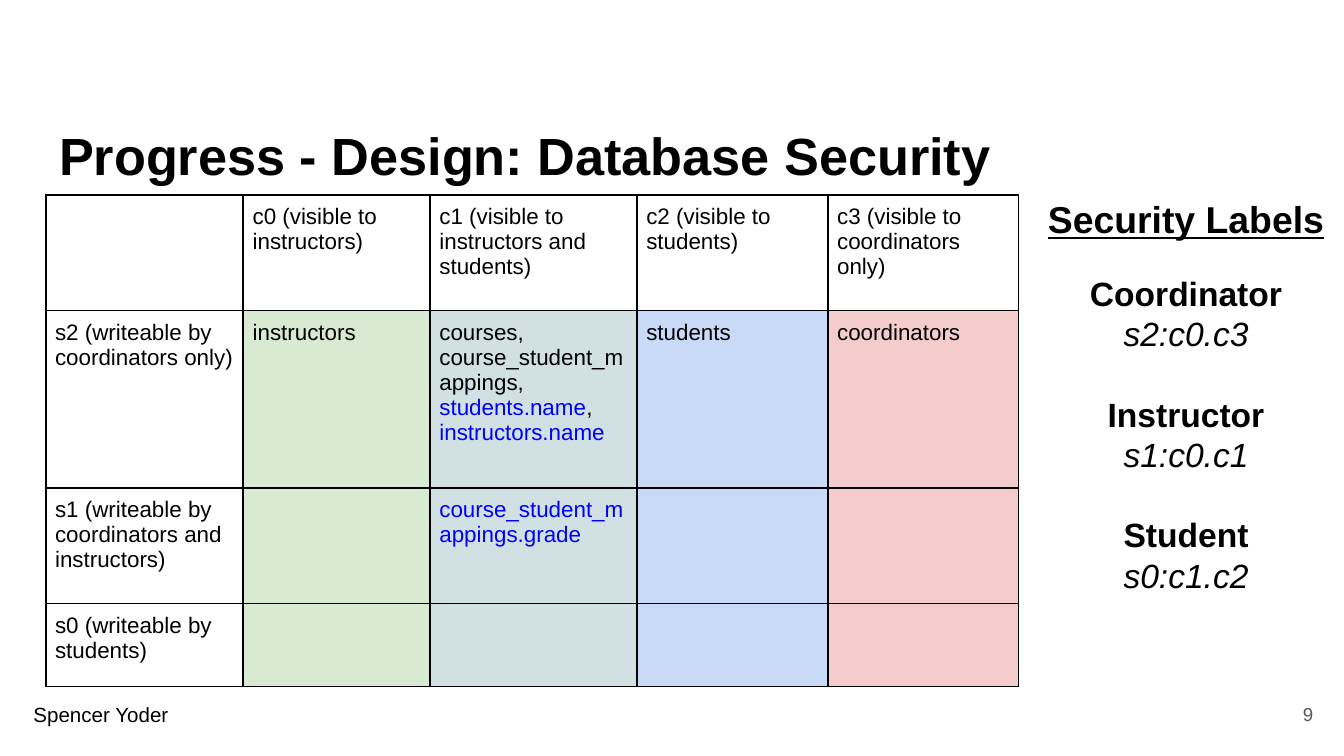
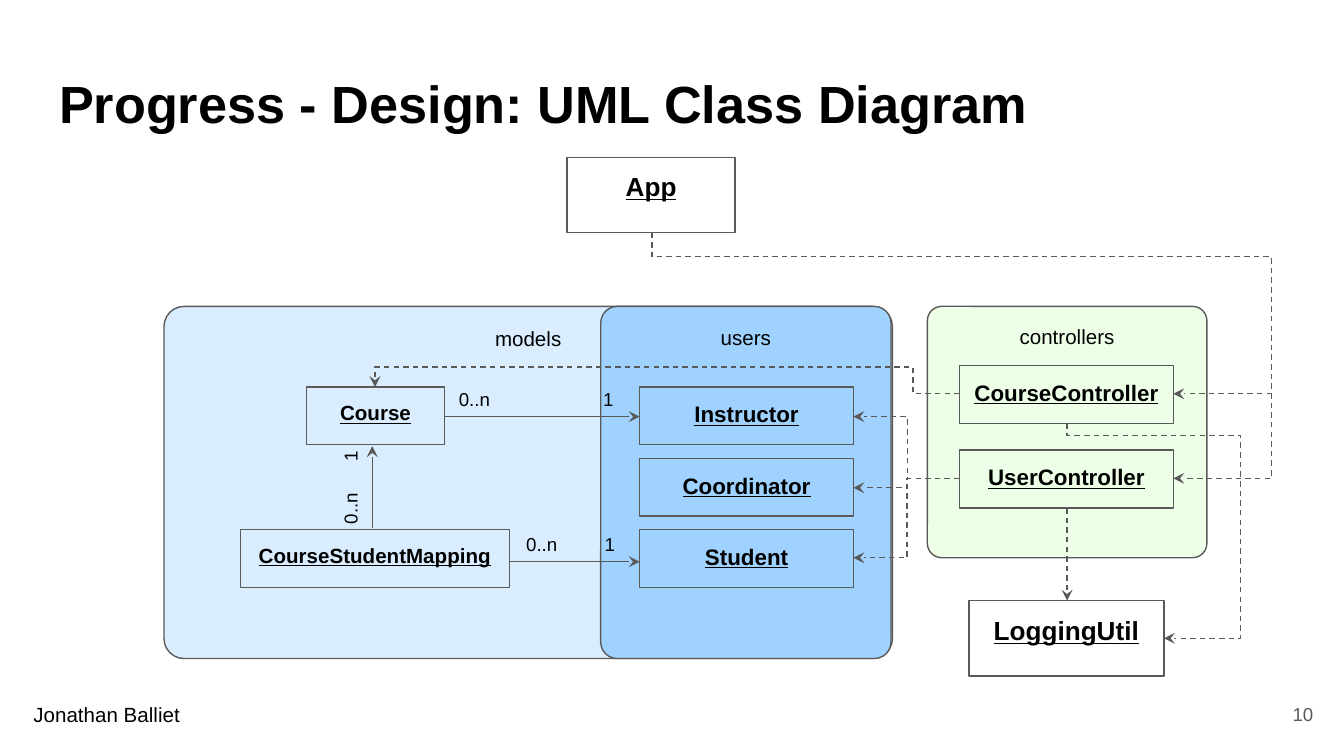
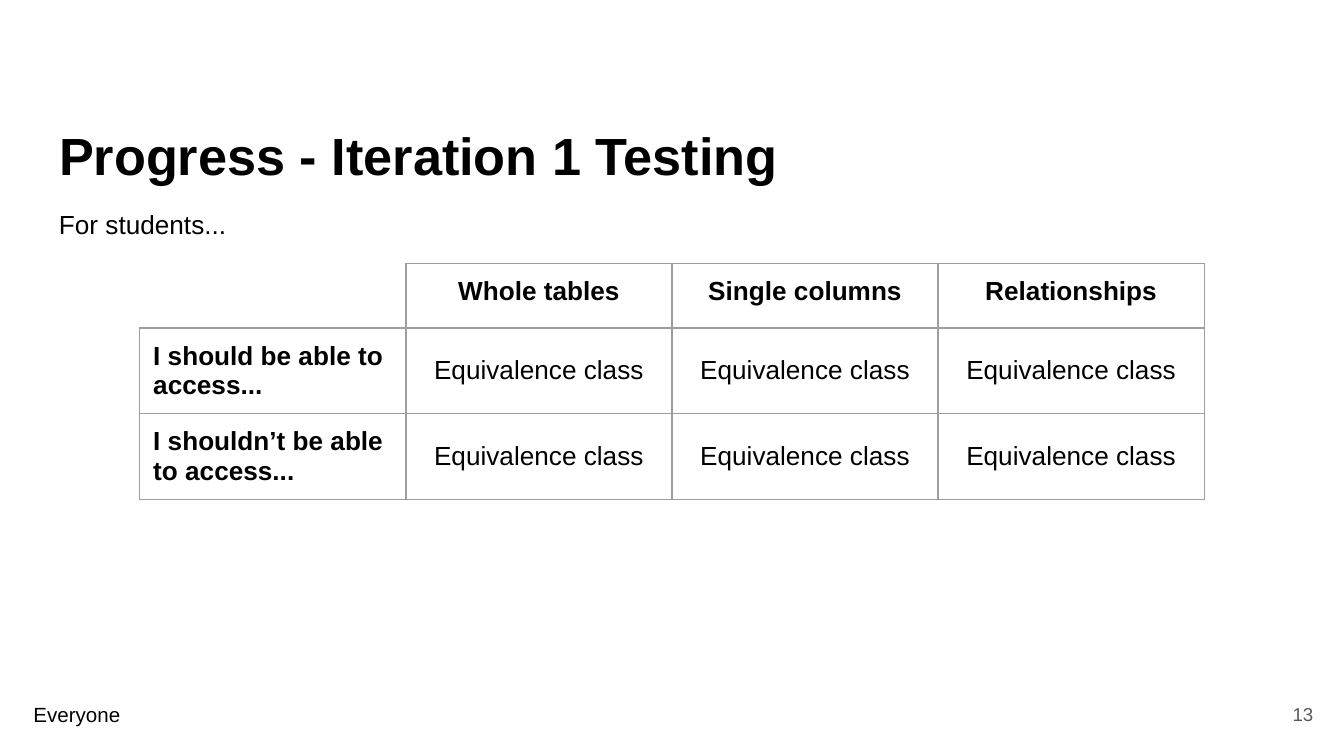
from dataclasses import dataclass

from lxml import etree
from pptx import Presentation
from pptx.dml.color import RGBColor
from pptx.enum.dml import MSO_LINE
from pptx.enum.shapes import MSO_CONNECTOR, MSO_SHAPE
from pptx.enum.text import MSO_ANCHOR, MSO_AUTO_SIZE, PP_ALIGN
from pptx.oxml.ns import qn
from pptx.util import Emu, Pt

EMU_PER_PX = 9144
LEFT, CENTER, RIGHT = PP_ALIGN.LEFT, PP_ALIGN.CENTER, PP_ALIGN.RIGHT
TOP, MIDDLE = MSO_ANCHOR.TOP, MSO_ANCHOR.MIDDLE
NO_AUTOFIT = MSO_AUTO_SIZE.NONE
STRAIGHT, ELBOW = MSO_CONNECTOR.STRAIGHT, MSO_CONNECTOR.ELBOW
RECTANGLE, ROUNDED = MSO_SHAPE.RECTANGLE, MSO_SHAPE.ROUNDED_RECTANGLE
DASH = MSO_LINE.DASH
TITLE_ONLY = 5


@dataclass(frozen=True)
class Theme:
    font: str = "Arial"
    ink: str = "000000"
    muted: str = "595959"
    link: str = "0000FF"
    grid: str = "9E9E9E"
    green: str = "D9EAD3"
    teal: str = "D0E0E3"
    blue: str = "C9DAF8"
    red: str = "F4CCCC"
    controllers: str = "EEFFE8"
    models: str = "DAEDFF"
    users: str = "9FD2FF"
    title: int = 28
    heading: int = 20
    label: int = 18
    body: int = 14
    cell: int = 12
    small: int = 11
    tiny: int = 10
    line: float = 0.75


THEME = Theme()


def px(length):
    return Emu(round(length * EMU_PER_PX))


def rgb(color):
    return RGBColor.from_string(color)


def write(para, text, size=THEME.body, color=THEME.ink, bold=False,
          italic=False, underline=False, align=LEFT, before=0):
    para.alignment = align
    para.space_before = Pt(before)
    span = para.add_run()
    span.text = text
    font = span.font
    font.name, font.size = THEME.font, Pt(size)
    font.bold, font.italic, font.underline = bold, italic, underline
    font.color.rgb = rgb(color)


def pad(holder, inset, anchor):
    holder.margin_left = holder.margin_right = px(inset)
    holder.margin_top = holder.margin_bottom = px(inset)
    holder.vertical_anchor = anchor


def set_frame(frame, inset=10, anchor=TOP):
    pad(frame, inset, anchor)
    frame.word_wrap = True
    frame.auto_size = NO_AUTOFIT


def text_box(page, area, text, inset=10, anchor=MIDDLE, **style):
    box = page.shapes.add_textbox(*map(px, area))
    set_frame(box.text_frame, inset, anchor)
    write(box.text_frame.paragraphs[0], text, **style)
    return box


def add_page(deck, heading, top, author, number, author_width=272):
    page = deck.slides.add_slide(deck.slide_layouts[TITLE_ONLY])
    title = page.shapes.title
    title.left, title.top, title.width, title.height = map(px, (34, top, 932, 63))
    set_frame(title.text_frame)
    write(title.text_frame.paragraphs[0], heading, size=THEME.title, bold=True)
    text_box(page, (927, 510, 60, 43), str(number),
             size=THEME.tiny, color=THEME.muted, align=RIGHT)
    text_box(page, (15, 507, author_width, 49), author, size=THEME.small)
    return page


def set_borders(cell, color, width, sides="LRTB"):
    properties = cell._tc.get_or_add_tcPr()
    for child in list(properties):
        properties.remove(child)
    for side in "LRTB":
        line = etree.SubElement(properties, qn(f"a:ln{side}"), w=str(Pt(width)))
        if side in sides:
            paint = etree.SubElement(line, qn("a:solidFill"))
            etree.SubElement(paint, qn("a:srgbClr"), val=color)
        else:
            etree.SubElement(line, qn("a:noFill"))
    cell.fill.background()


def add_grid(page, left, top, columns, rows, color, width):
    area = map(px, (left, top, sum(columns), sum(rows)))
    table = page.shapes.add_table(len(rows), len(columns), *area).table
    table.first_row = table.horz_banding = False
    for column, size in zip(table.columns, columns):
        column.width = px(size)
    for row, size in zip(table.rows, rows):
        row.height = px(size)
    for cell in table.iter_cells():
        set_borders(cell, color, width)
    return table


def set_empty_size(cell, size):
    para = cell.text_frame.paragraphs[0]
    ending = etree.SubElement(para._p, qn("a:endParaRPr"), sz=str(size * 100))
    etree.SubElement(ending, qn("a:latin"), typeface=THEME.font)


def node(page, area, text, shape=RECTANGLE, fill=None, size=THEME.cell, heavy=True):
    box = page.shapes.add_shape(shape, *map(px, area))
    box.shadow.inherit = False
    if shape == ROUNDED:
        box.adjustments[0] = 0.057
    if fill:
        box.fill.solid()
        box.fill.fore_color.rgb = rgb(fill)
    else:
        box.fill.background()
    box.line.color.rgb = rgb(THEME.muted)
    box.line.width = Pt(THEME.line)
    set_frame(box.text_frame)
    write(box.text_frame.paragraphs[0], text, size=size, bold=heavy,
          underline=heavy, align=CENTER)


def arrow(page, start, end, kind=STRAIGHT, dashed=False):
    connector = page.shapes.add_connector(kind, *map(px, (*start, *end)))
    connector.line.color.rgb = rgb(THEME.muted)
    connector.line.width = Pt(THEME.line)
    if dashed:
        connector.line.dash_style = DASH
    line = connector.line._get_or_add_ln()
    etree.SubElement(line, qn("a:tailEnd"), type="stealth", w="med", len="med")
    etree.SubElement(connector.element.spPr, qn("a:effectLst"))
    return connector


def elbow_arrow(page, start, end, bends, downward=False):
    axes = (1, 0) if downward else (0, 1)
    spans = [end[axis] - start[axis] for axis in axes]
    width, height = map(abs, spans)
    left = (start[0] + end[0] - width) / 2
    top = (start[1] + end[1] - height) / 2
    connector = arrow(page, (left, top), (left + width, top + height), ELBOW, True)
    properties = connector.element.spPr
    frame = properties.find(qn("a:xfrm"))
    if downward:
        frame.set("rot", str(270 * 60000))
    elif end[1] < start[1]:
        frame.set("rot", str(180 * 60000))
    if downward or end[1] > start[1]:
        frame.set("flipH", "1")
    geometry = properties.find(qn("a:prstGeom"))
    geometry.set("prst", f"bentConnector{len(bends) + 2}")
    guides = geometry.find(qn("a:avLst"))
    for index, (bend, axis, span) in enumerate(zip(bends, axes, spans), 1):
        ratio = round((bend - start[axis]) / span * 100000)
        etree.SubElement(guides, qn("a:gd"), name=f"adj{index}", fmla=f"val {ratio}")


def multiplicity(page, area, reach, rotation=0):
    box = text_box(page, area, "0..n\t1", inset=0, size=THEME.tiny)
    box.rotation = rotation
    box.text_frame.margin_left = px((area[2] - reach) / 2)
    properties = box.text_frame.paragraphs[0]._p.get_or_add_pPr()
    stops = etree.SubElement(properties, qn("a:tabLst"))
    etree.SubElement(stops, qn("a:tab"), pos=str(px(reach)), algn="r")


def security_page(deck):
    page = add_page(deck, "Progress - Design: Database Security", 82, "Spencer Yoder", 9)
    ink, link = THEME.ink, THEME.link
    contents = [
        ["", "c0 (visible to instructors)", "c1 (visible to instructors and students)",
         "c2 (visible to students)", "c3 (visible to coordinators only)"],
        ["s2 (writeable by coordinators only)", "instructors",
         [("courses, course_student_mappings, ", ink), ("students.name", link),
          (", ", ink), ("instructors.name", link)],
         "students", "coordinators"],
        ["s1 (writeable by coordinators and instructors)", "",
         [("course_student_mappings.grade", link)], "", ""],
        ["s0 (writeable by students)", "", "", "", ""],
    ]
    column_fills = [None, THEME.green, THEME.teal, THEME.blue, THEME.red]
    table = add_grid(page, 34, 145, [147, 139, 154, 142, 142], [86, 132, 86, 62], ink, 1)
    for row, entries in enumerate(contents):
        for column, entry in enumerate(entries):
            cell = table.cell(row, column)
            pad(cell, 7, TOP)
            if row and column_fills[column]:
                cell.fill.solid()
                cell.fill.fore_color.rgb = rgb(column_fills[column])
            spans = [(entry, ink)] if isinstance(entry, str) else entry
            for text, color in spans:
                if text:
                    write(cell.text_frame.paragraphs[0], text, size=THEME.cell, color=color)

    box = text_box(page, (765, 136, 235, 382), "Security Labels", anchor=TOP,
                   size=THEME.heading, bold=True, underline=True, align=CENTER)
    labels = [("Coordinator", "s2:c0.c3", 17), ("Instructor", "s1:c0.c1", 21.5),
              ("Student", "s0:c1.c2", 21.5)]
    for role, label, gap in labels:
        write(box.text_frame.add_paragraph(), role, size=THEME.label, bold=True,
              align=CENTER, before=gap)
        write(box.text_frame.add_paragraph(), label, size=THEME.label, italic=True,
              align=CENTER)


def diagram_page(deck):
    page = add_page(deck, "Progress - Design: UML Class Diagram", 43, "Jonathan Balliet", 10)
    node(page, (422, 117, 125, 56), "App", size=THEME.body)
    packages = [
        ("controllers", (690, 228, 208, 187), THEME.controllers),
        ("models", (122, 228, 542, 262), THEME.models),
        ("users", (447, 228, 216, 262), THEME.users),
    ]
    for name, area, fill in packages:
        node(page, area, name, ROUNDED, fill, THEME.small, heavy=False)
    for index, name in enumerate(["CourseController", "UserController"]):
        node(page, (714, 272 + 63 * index, 159, 43), name)
    for index, name in enumerate(["Instructor", "Coordinator", "Student"]):
        node(page, (476, 288 + 53 * index, 159, 43), name)
    node(page, (721, 447, 145, 56), "LoggingUtil", size=THEME.body)
    node(page, (179, 394, 200, 43), "CourseStudentMapping", size=THEME.small)
    node(page, (228, 288, 103, 43), "Course", size=THEME.small)

    for controller_y in (293, 356):
        elbow_arrow(page, (485, 173), (873, controller_y), (191, 946), downward=True)
    elbow_arrow(page, (794, 315), (866, 475), (324, 923), downward=True)
    for user_y in (310, 363, 415):
        elbow_arrow(page, (714, 356), (635, user_y), (675,))
    elbow_arrow(page, (714, 293), (279, 288), (679, 273))

    arrow(page, (794, 378), (794, 447), dashed=True)
    arrow(page, (331, 310), (476, 310))
    arrow(page, (379, 418), (476, 418))
    arrow(page, (277, 393), (277, 332))
    multiplicity(page, (331, 286, 136, 22), 115)
    multiplicity(page, (379, 394, 91, 22), 66)
    multiplicity(page, (203, 352, 115, 22), 54, rotation=270)


def testing_page(deck):
    page = add_page(deck, "Progress - Iteration 1 Testing", 82, "Everyone", 13,
                    author_width=351)
    headings = ["", "Whole tables", "Single columns", "Relationships"]
    questions = ["I should be able to access...", "I shouldn’t be able to access..."]
    contents = [headings] + [[question] + ["Equivalence class"] * 3 for question in questions]
    table = add_grid(page, 104, 196, [198] * 4, [42] * 3, THEME.grid, THEME.line)
    set_borders(table.cell(0, 0), THEME.grid, THEME.line, "RB")
    set_empty_size(table.cell(0, 0), THEME.label)
    for row, entries in enumerate(contents):
        for column, text in enumerate(entries):
            cell = table.cell(row, column)
            pad(cell, 10, MIDDLE if row and column else TOP)
            if text:
                write(cell.text_frame.paragraphs[0], text, bold=not (row and column),
                      align=CENTER if column else LEFT)
    text_box(page, (34, 145, 195, 49), "For students...", anchor=TOP)


def main():
    deck = Presentation()
    deck.slide_width = px(1000)
    deck.slide_height = deck.slide_width * 9 // 16
    security_page(deck)
    diagram_page(deck)
    testing_page(deck)
    deck.save("out.pptx")


if __name__ == "__main__":
    main()
